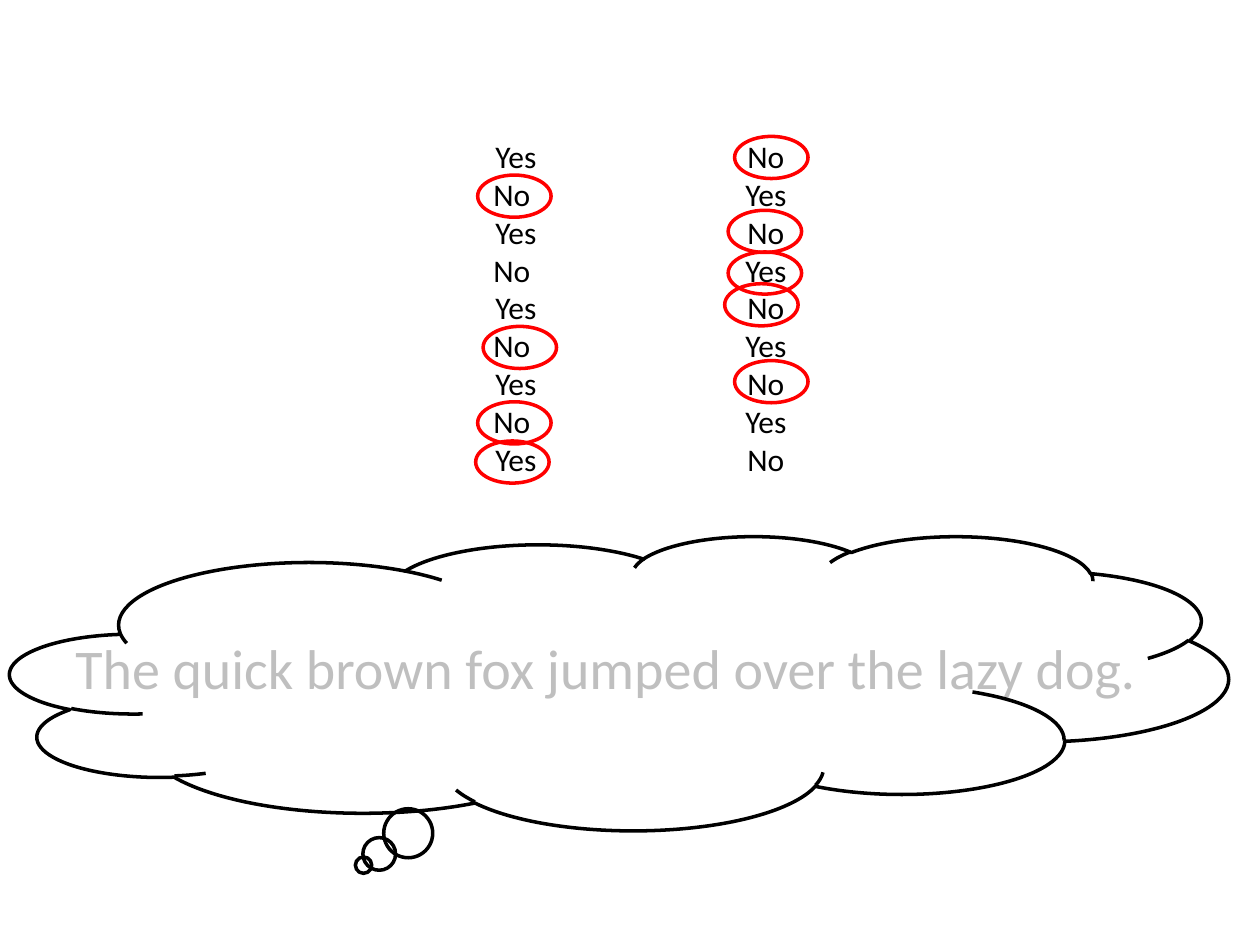
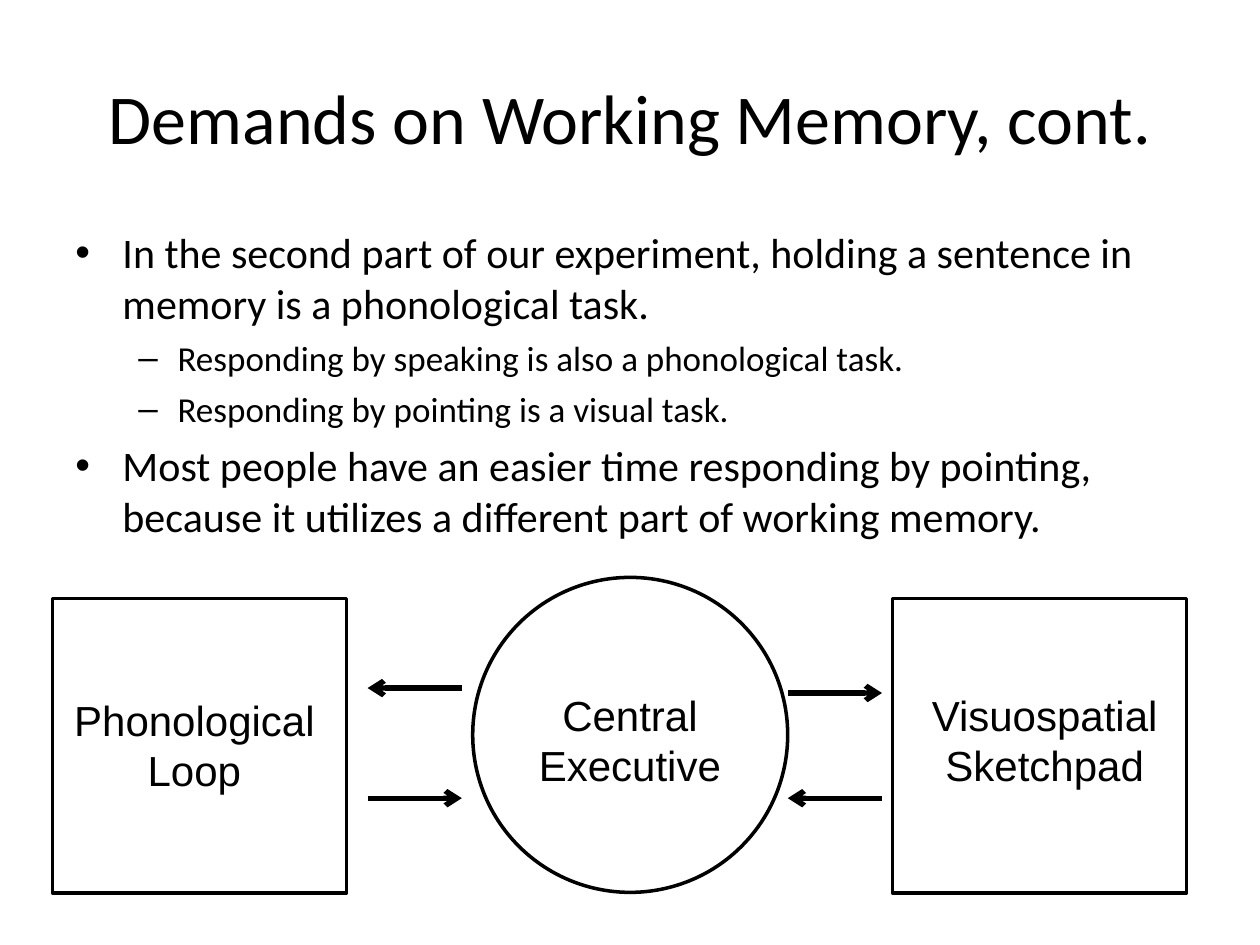
from lxml import etree
from pptx import Presentation
from pptx import util as u
from pptx.dml import color
from pptx.enum import shapes, text
from pptx.oxml import ns

COLOURS = {"ink": "000000", "ring": "FF0000", "faded": "BFBFBF"}
BODY_FONT, LABEL_FONT = "Calibri", "Arial"
# Per level: bullet, text indent, hanging indent (cm), space before and size (pt)
LEVELS = [("•", 0.95, 0.95, 6, 24), ("–", 2.06, 0.79, 5, 20)]


def rgb(name):
    return color.RGBColor.from_string(COLOURS[name])


def add_element(parent, tag, **attributes):
    return etree.SubElement(parent, ns.qn(tag), attributes)


class SlideMaker:
    def __init__(self, deck):
        self.deck = deck
        self.page = None

    def new_page(self):
        self.page = self.deck.slides.add_slide(self.deck.slide_layouts[6])

    def text_box(self, left, top, width, height, lines, size, font=BODY_FONT,
                 colour="ink", align=text.PP_ALIGN.LEFT, anchor=text.MSO_ANCHOR.TOP):
        box = self.page.shapes.add_textbox(u.Cm(left), u.Cm(top), u.Cm(width), u.Cm(height))
        frame = box.text_frame
        frame.word_wrap = True
        frame.vertical_anchor = anchor
        frame.text = "\n".join(lines)
        for para in frame.paragraphs:
            para.alignment = align
            for span in para.runs:
                span.font.size = u.Pt(size)
                span.font.name = font
                span.font.color.rgb = rgb(colour)
        return frame.paragraphs

    def title(self, words):
        self.text_box(1.27, 0.76, 22.86, 3.18, [words], 40,
                      align=text.PP_ALIGN.CENTER, anchor=text.MSO_ANCHOR.MIDDLE)

    def bullets(self, left, top, width, height, items):
        """Items are (level, words) pairs."""
        paras = self.text_box(left, top, width, height, [words for _, words in items], 24)
        for index, (para, (level, _)) in enumerate(zip(paras, items)):
            mark, indent, hanging, space, size = LEVELS[level]
            para.level = level
            if index:
                para.space_before = u.Pt(space)
            para.runs[0].font.size = u.Pt(size)
            props = para._p.get_or_add_pPr()
            props.set("marL", str(u.Cm(indent)))
            props.set("indent", str(-u.Cm(hanging)))
            add_element(props, "a:buFont", typeface=LABEL_FONT)
            add_element(props, "a:buChar", char=mark)

    def tabbed_rows(self, left, top, width, height, rows, size):
        """Centred rows with a left tab stop at every inch."""
        paras = self.text_box(left, top, width, height, rows, size,
                              align=text.PP_ALIGN.CENTER)
        for para in paras:
            stops = add_element(para._p.get_or_add_pPr(), "a:tabLst")
            for inch in range(8):
                add_element(stops, "a:tab", pos=str(u.Cm(2.54 * inch)), algn="l")

    def outline(self, kind, left, top, width, height, colour="ink"):
        shape = self.page.shapes.add_shape(
            kind, u.Cm(left), u.Cm(top), u.Cm(width), u.Cm(height))
        shape.shadow.inherit = False
        shape.fill.background()
        shape.line.color.rgb = rgb(colour)
        shape.line.width = u.Pt(2)
        return shape

    def arrow(self, start, end, y):
        line = self.page.shapes.add_connector(
            shapes.MSO_CONNECTOR.STRAIGHT, u.Cm(start), u.Cm(y), u.Cm(end), u.Cm(y))
        line.line.color.rgb = rgb("ink")
        line.line.width = u.Pt(3)
        add_element(line.line._get_or_add_ln(), "a:tailEnd", type="arrow")
        add_element(line._element.spPr, "a:effectLst")


def build_answers(maker):
    maker.new_page()
    maker.text_box(1.27, 12.65, 22.86, 1.6,
                   ["The quick brown fox jumped over the lazy dog."], 32, colour="faded")
    rows = ["No\t\tYes" if row % 2 else "Yes\t\tNo" for row in range(9)]
    maker.tabbed_rows(6.55, 2.64, 12.7, 7.11, rows, 18)
    rings = [(14.81, 2.75), (9.63, 3.53), (14.68, 4.24), (14.68, 5.08), (14.61, 5.72),
             (9.74, 6.58), (14.81, 7.27), (9.63, 8.1), (9.59, 8.89)]
    for left, top in rings:
        maker.outline(shapes.MSO_SHAPE.OVAL, left, top, 1.48, 0.85, "ring")
    cloud = maker.outline(shapes.MSO_SHAPE.CLOUD_CALLOUT, 0.21, 10.8, 24.55, 5.93)
    cloud.adjustments[0], cloud.adjustments[1] = -0.21, 0.62


def build_memory_model(maker):
    maker.new_page()
    maker.title("Demands on Working Memory, cont.")
    maker.bullets(1.27, 4.45, 22.86, 7, [
        (0, "In the second part of our experiment, holding a sentence in memory "
            "is a phonological task."),
        (1, "Responding by speaking is also a phonological task."),
        (1, "Responding by pointing is a visual task."),
        (0, "Most people have an easier time responding by pointing, because it "
            "utilizes a different part of working memory."),
    ])
    maker.outline(shapes.MSO_SHAPE.OVAL, 9.53, 11.64, 6.35, 6.35)
    for left in (17.99, 1.06):
        maker.outline(shapes.MSO_SHAPE.RECTANGLE, left, 12.07, 5.93, 5.93)
    labels = [("Central Executive", 10.37, 13.77, 4.66),
              ("Phonological Loop", 1.06, 13.87, 5.72),
              ("Visuospatial Sketchpad", 18.2, 13.77, 5.72)]
    for words, left, top, width in labels:
        maker.text_box(left, top, width, 2.29, [words], 24, LABEL_FONT,
                       align=text.PP_ALIGN.CENTER)
    arrows = [(9.31, 7.41, 13.87), (7.41, 9.31, 16.09),
              (17.78, 15.88, 16.09), (15.88, 17.78, 13.97)]
    for start, end, y in arrows:
        maker.arrow(start, end, y)


def main():
    deck = Presentation()
    deck.slide_width, deck.slide_height = u.Cm(25.4), u.Cm(19.05)
    maker = SlideMaker(deck)
    build_answers(maker)
    build_memory_model(maker)
    deck.save("out.pptx")


if __name__ == "__main__":
    main()
